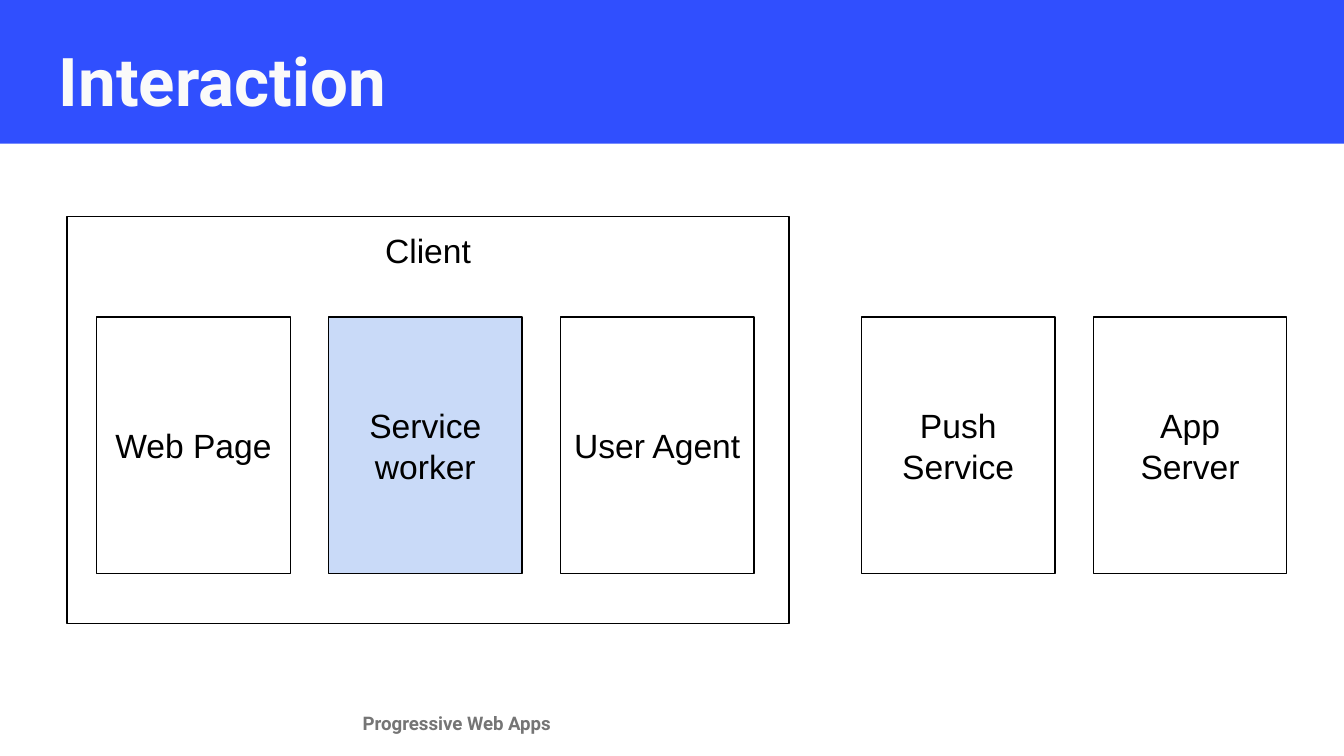
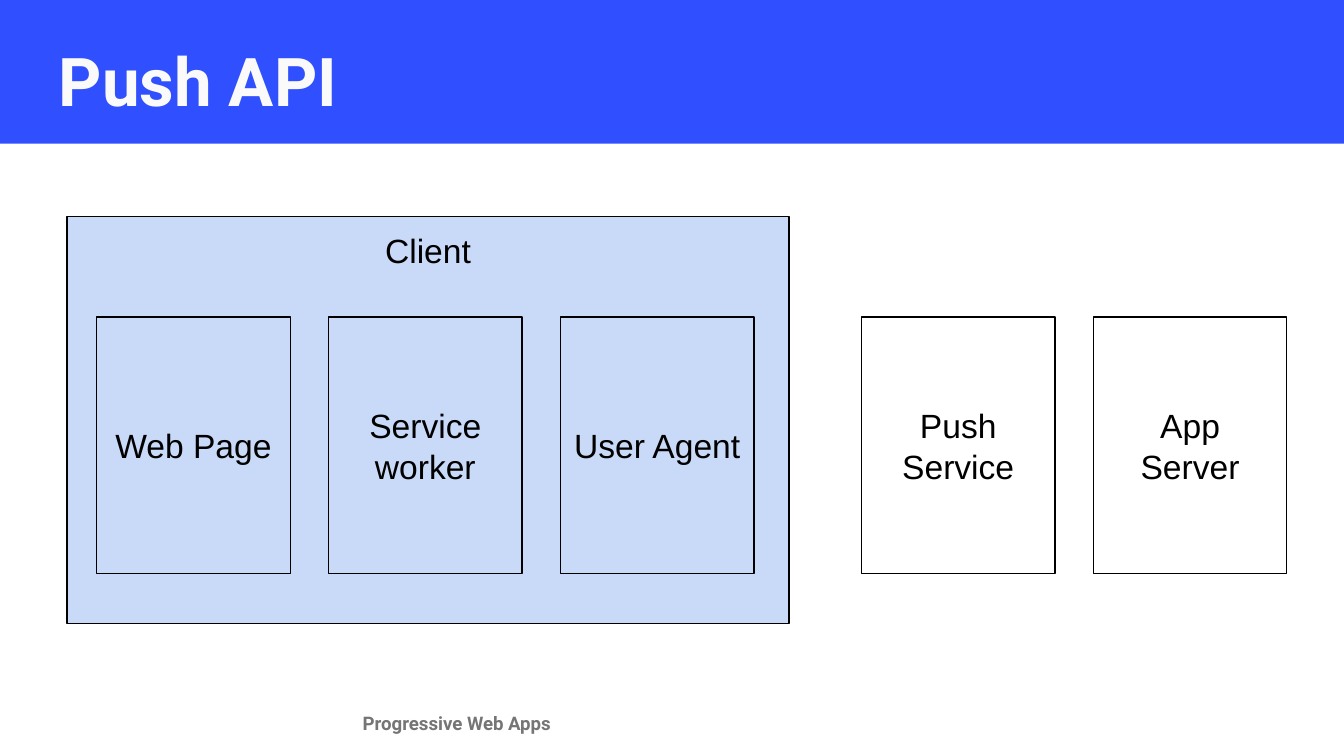
"""Build two slides on the parties that take part in web push."""

from pptx import Presentation
from pptx.dml.color import RGBColor
from pptx.enum.shapes import MSO_SHAPE
from pptx.enum.text import MSO_ANCHOR, PP_ALIGN
from pptx.util import Inches, Pt

COLUMNS, ROWS = 100, 56.25
BLUE, PALE_BLUE, WHITE, BLACK = "304FFE", "C9DAF8", "FFFFFF", "000000"
TITLE_FONT = {"name": "Roboto", "size": Pt(36), "bold": True, "color": "FAFAFA"}
FOOTER_FONT = {"name": "Roboto", "size": Pt(10), "bold": True, "color": "757575"}
LABEL_FONT = {"name": "Arial", "size": Pt(18), "bold": False, "color": BLACK}

PARTY_TOP, PARTY_WIDTH, PARTY_HEIGHT, PARTY_PITCH = 23.6, 14.4, 19.1, 17.25
CLIENT_PARTIES = ["Web Page", "Service worker", "User Agent"]
SERVER_PARTIES = ["Push Service", "App Server"]


def color(value):
    return RGBColor.from_string(value)


class Deck:
    """Hold the presentation, its style and the current slide."""

    def __init__(self):
        self.presentation = Presentation()
        self.presentation.slide_width = Inches(10)
        self.presentation.slide_height = Inches(5.625)
        self.column = self.presentation.slide_width / COLUMNS
        self.row = self.presentation.slide_height / ROWS
        self.slide = None

    def place(self, left, top, width, height):
        return [round(length * unit) for length, unit in
                zip((left, top, width, height), (self.column, self.row) * 2)]

    def label(self, shape, text, font, align=PP_ALIGN.LEFT, anchor=MSO_ANCHOR.TOP):
        frame = shape.text_frame
        layout = {"word_wrap": True, "vertical_anchor": anchor}
        layout |= {f"margin_{side}": Inches(0.1)
                   for side in ("left", "top", "right", "bottom")}
        for name, value in layout.items():
            setattr(frame, name, value)
        paragraph = frame.paragraphs[0]
        paragraph.alignment = align
        run = paragraph.add_run()
        run.text = text
        for name, value in font.items():
            if name == "color":
                run.font.color.rgb = color(value)
            else:
                setattr(run.font, name, value)

    def text(self, text, area, font):
        shape = self.slide.shapes.add_textbox(*self.place(*area))
        self.label(shape, text, font)

    def rectangle(self, area, fill=None, line=None):
        shape = self.slide.shapes.add_shape(MSO_SHAPE.RECTANGLE, *self.place(*area))
        shape.shadow.inherit = False
        if fill:
            shape.fill.solid()
            shape.fill.fore_color.rgb = color(fill)
        else:
            shape.fill.background()
        if line:
            shape.line.color.rgb = color(line)
            shape.line.width = Pt(0.75)
        else:
            shape.line.fill.background()
        return shape

    def box(self, text, area, fill=None, anchor=MSO_ANCHOR.MIDDLE):
        shape = self.rectangle(area, fill, BLACK)
        self.label(shape, text, LABEL_FONT, PP_ALIGN.CENTER, anchor)

    def parties(self, names, left, fills):
        for index, name in enumerate(names):
            area = (left + index * PARTY_PITCH, PARTY_TOP, PARTY_WIDTH, PARTY_HEIGHT)
            self.box(name, area, fills.get(name))

    def new_slide(self, title):
        self.slide = self.presentation.slides.add_slide(
            self.presentation.slide_layouts[6])
        self.slide.background.fill.solid()
        self.slide.background.fill.fore_color.rgb = color(WHITE)
        self.text("Progressive Web Apps", (26, 52.1, 57.9, 2.5), FOOTER_FONT)
        self.rectangle((-0.1, -0.4, 100.1, 11.1), BLUE)
        self.text(title, (3.4, 1.9, 93.2, 6.3), TITLE_FONT)

    def push_diagram(self, title, client_fill, fills):
        self.new_slide(title)
        self.box("Client", (5, 16.1, 53.7, 30.3), client_fill, MSO_ANCHOR.TOP)
        self.parties(CLIENT_PARTIES, 7.2, fills)
        self.parties(SERVER_PARTIES, 64.1, fills)


def main():
    deck = Deck()
    deck.push_diagram("Interaction", WHITE,
                      {"Web Page": WHITE, "Service worker": PALE_BLUE})
    deck.push_diagram("Push API", PALE_BLUE, dict.fromkeys(SERVER_PARTIES, WHITE))
    deck.presentation.save("out.pptx")


if __name__ == "__main__":
    main()
